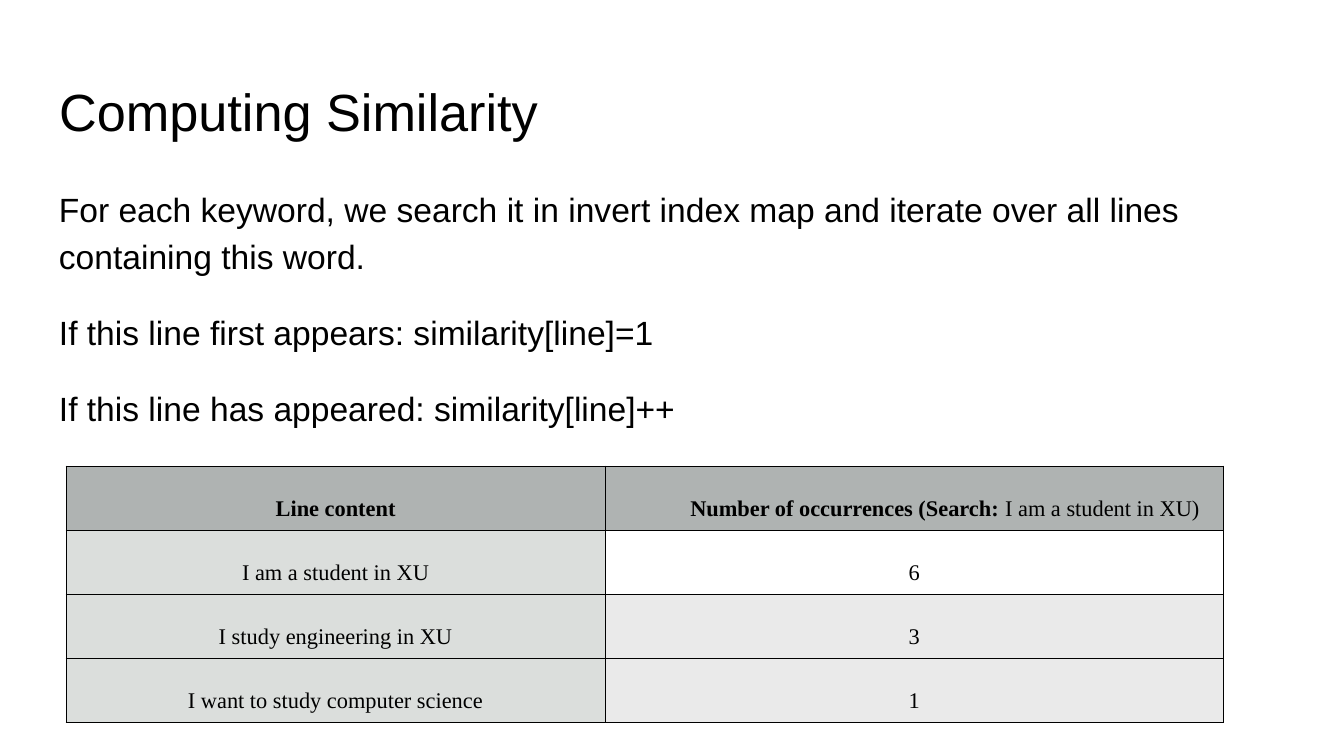
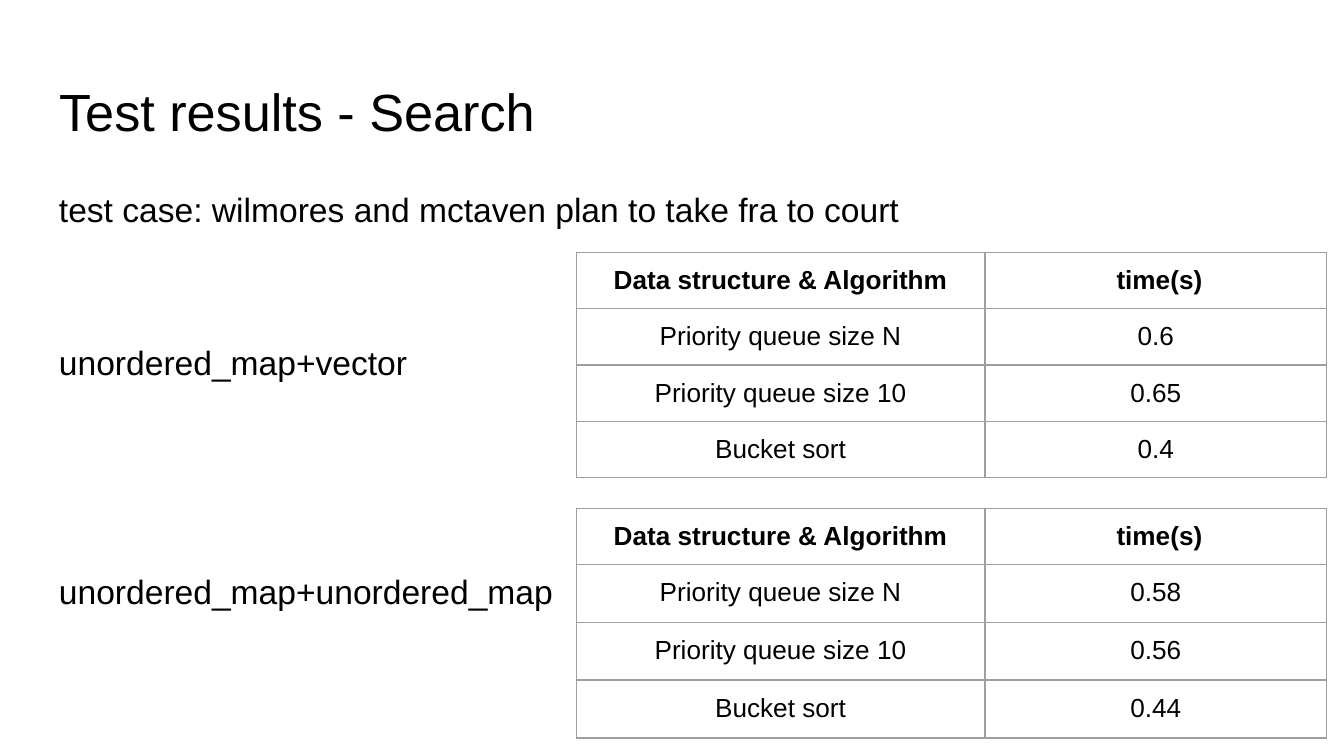
from pptx import Presentation
from pptx.dml.color import RGBColor
from pptx.enum.text import MSO_ANCHOR, MSO_AUTO_SIZE, PP_ALIGN
from pptx.oxml.ns import qn
from pptx.util import Pt
from lxml import etree

LEFT, CENTER = PP_ALIGN.LEFT, PP_ALIGN.CENTER
TOP = MSO_ANCHOR.TOP
NO_FIT = MSO_AUTO_SIZE.NONE
TITLE_ONLY = 5

SANS, SERIF = "Arial", "Times New Roman"
BLACK, GREY = "000000", "9E9E9E"
HEAD, LABEL, BAND = "AFB3B2", "DBDEDC", "EAEAEA"
INSET, TIGHT = 7.2, 3
MARGIN, WIDTH = 24.5, 671


def rgb(value):
    """Return the colour of a hex string."""
    return RGBColor.from_string(value)


def write(p, text, size=18, font=SANS, color=BLACK, bold=False, align=LEFT,
          spacing=None, before=0, after=0, indent=0):
    """Add a formatted run to a paragraph and format the paragraph."""
    p.alignment = align
    p.space_before, p.space_after = Pt(before), Pt(after)
    if spacing:
        p.line_spacing = spacing
    if indent:
        p._p.get_or_add_pPr().set("marL", str(Pt(indent)))
    r = p.add_run()
    r.text = text
    r.font.size, r.font.name, r.font.bold = Pt(size), font, bold
    r.font.color.rgb = rgb(color)


def set_frame(tf):
    """Give a text frame the shared insets, wrapping and anchor."""
    tf.word_wrap = True
    tf.auto_size = NO_FIT
    tf.vertical_anchor = TOP
    tf.margin_left = tf.margin_right = Pt(INSET)
    tf.margin_top = tf.margin_bottom = Pt(INSET)


def add_slide(prs, title):
    """Add a title-only slide with its title in place."""
    s = prs.slides.add_slide(prs.slide_layouts[TITLE_ONLY])
    sp = s.shapes.title
    sp.left, sp.top, sp.width, sp.height = Pt(MARGIN), Pt(35), Pt(WIDTH), Pt(45)
    set_frame(sp.text_frame)
    write(sp.text_frame.paragraphs[0], title, size=28)
    return s


def add_body(s, lines):
    """Add the body text from pairs of wording and space before."""
    sp = s.shapes.add_textbox(Pt(MARGIN), Pt(91), Pt(WIDTH), Pt(269))
    tf = sp.text_frame
    set_frame(tf)
    for i, (text, before) in enumerate(lines):
        p = tf.add_paragraph() if i else tf.paragraphs[0]
        write(p, text, spacing=1.15, before=before)


def set_borders(cell, color):
    """Draw the four borders of a cell."""
    tcPr = cell._tc.get_or_add_tcPr()
    for i, side in enumerate(("a:lnL", "a:lnR", "a:lnT", "a:lnB")):
        ln = etree.Element(qn(side), w=str(Pt(0.75)))
        fill = etree.SubElement(ln, qn("a:solidFill"))
        etree.SubElement(fill, qn("a:srgbClr"), val=color)
        tcPr.insert(i, ln)


def add_grid(s, left, top, widths, heights, inset, border):
    """Add an unstyled table with borders and cell insets."""
    frame = s.shapes.add_table(len(heights), len(widths), Pt(left), Pt(top),
                               Pt(sum(widths)), Pt(sum(heights)))
    table = frame.table
    table.first_row = table.horz_banding = False
    for column, width in zip(table.columns, widths):
        column.width = Pt(width)
    for row, height in zip(table.rows, heights):
        row.height = Pt(height)
    for cell in table.iter_cells():
        cell.margin_left = cell.margin_right = Pt(inset)
        cell.margin_top = cell.margin_bottom = Pt(inset)
        cell.fill.background()
        set_borders(cell, border)
    return table


def fill_cell(cell, color):
    """Fill a cell with a solid colour."""
    cell.fill.solid()
    cell.fill.fore_color.rgb = rgb(color)


def add_occurrences(s, query, rows):
    """Add the table of lines and their keyword counts."""
    table = add_grid(s, 35.5, 249.8, [288.7, 21.6, 154.8, 154.8], [34.3] * 4,
                     TIGHT, BLACK)
    style = dict(size=12, font=SERIF, align=CENTER, spacing=2)
    for i in range(len(rows) + 1):
        table.cell(i, 1).merge(table.cell(i, 3))
    for col in range(4):
        fill_cell(table.cell(0, col), HEAD)
    write(table.cell(0, 0).text_frame.paragraphs[0], "Line content",
          bold=True, **style)
    p = table.cell(0, 1).text_frame.paragraphs[0]
    write(p, "Number of occurrences (Search: ", bold=True, indent=33, **style)
    write(p, query + ")", **style)
    for i, (line, count) in enumerate(rows, 1):
        fill_cell(table.cell(i, 0), LABEL)
        if i > 1:
            for col in range(1, 4):
                fill_cell(table.cell(i, col), BAND)
        for col, text in enumerate((line, count)):
            write(table.cell(i, col).text_frame.paragraphs[0], text, **style)


def add_timings(s, top, heights, times):
    """Add a table of search times for each algorithm."""
    table = add_grid(s, 308.7, top, [219, 183], heights, INSET, GREY)
    names = ("Priority queue size N", "Priority queue size 10", "Bucket sort")
    rows = [("Data structure & Algorithm", "time(s)"), *zip(names, times)]
    for i, row in enumerate(rows):
        for col, text in enumerate(row):
            write(table.cell(i, col).text_frame.paragraphs[0], text, size=14,
                  bold=i == 0, align=CENTER,
                  indent=4 if (i, col) == (0, 1) else 0)


def main():
    """Build the two slides and save them."""
    prs = Presentation()
    prs.slide_width, prs.slide_height = Pt(720), Pt(405)

    s = add_slide(prs, "Computing Similarity")
    add_body(s, [
        ("For each keyword, we search it in invert index map and iterate "
         "over all lines containing this word.", 0),
        ("If this line first appears: similarity[line]=1", 16),
        ("If this line has appeared: similarity[line]++", 16),
    ])
    query = "I am a student in XU"
    add_occurrences(s, query, [
        (query, "6"),
        ("I study engineering in XU", "3"),
        ("I want to study computer science", "1"),
    ])

    s = add_slide(prs, "Test results - Search")
    add_body(s, [
        ("test case: wilmores and mctaven plan to take fra to court", 0),
        ("unordered_map+vector", 57),
        ("unordered_map+unordered_map", 98),
    ])
    add_timings(s, 135.2, [30] * 4, ("0.6", "0.65", "0.4"))
    add_timings(s, 272.2, [30, 31, 31, 31], ("0.58", "0.56", "0.44"))

    prs.save("out.pptx")


main()
